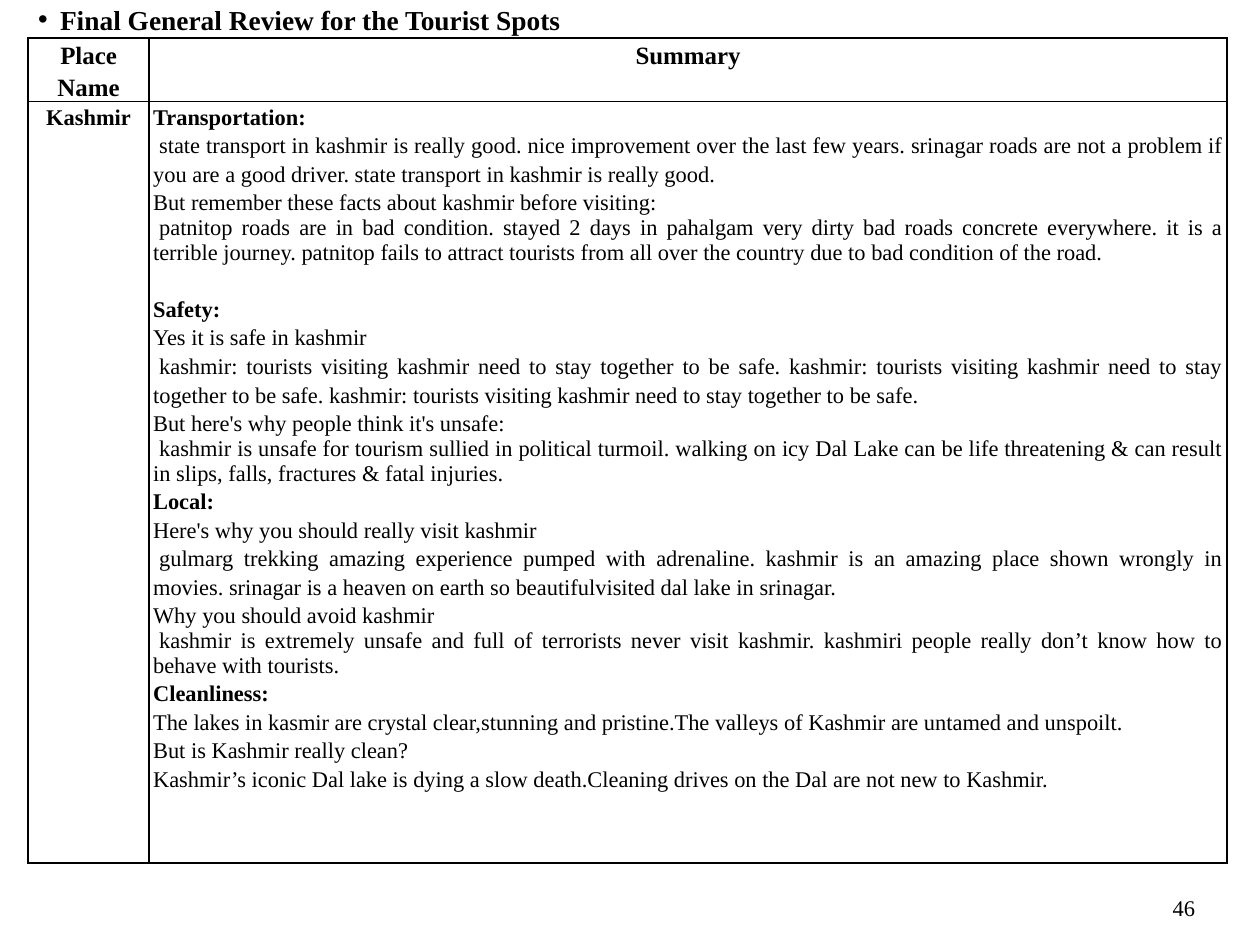
"""Build the slide with the final review table for Kashmir."""
from dataclasses import dataclass

from lxml import etree
from pptx import Presentation
from pptx.dml.color import RGBColor
from pptx.enum.text import MSO_ANCHOR, MSO_AUTO_SIZE, PP_ALIGN
from pptx.oxml.ns import qn
from pptx.table import _Cell
from pptx.text.text import TextFrame, _Paragraph
from pptx.util import Length, Pt

LEFT, CENTER, RIGHT, JUSTIFY = PP_ALIGN.LEFT, PP_ALIGN.CENTER, PP_ALIGN.RIGHT, PP_ALIGN.JUSTIFY
MIDDLE, NO_AUTOFIT = MSO_ANCHOR.MIDDLE, MSO_AUTO_SIZE.NONE

EMU_PER_PX = 20411
BLACK = RGBColor(0x00, 0x00, 0x00)
FONT_NAME = "Times New Roman"
WIDE_SPACING = 1.15
BORDER_WIDTH = Pt(3)
BORDER_TAGS = ("a:lnL", "a:lnR", "a:lnT", "a:lnB")
COLUMN_WIDTHS = (121, 1077)
ROW_HEIGHTS = (63, 761)
FRAME_INSETS = {"margin_left": 6, "margin_right": 6, "margin_top": 3, "margin_bottom": 3}
CELL_INSETS = {"margin_left": 4, "margin_right": 4, "margin_top": 0, "margin_bottom": 0}


@dataclass(frozen=True)
class Line:
    """One paragraph with its format."""

    text: str
    size: int = 36
    bold: bool = False
    alignment: PP_ALIGN = JUSTIFY
    spacing: float = WIDE_SPACING
    first_indent: int = 0
    space_before: int = 0


def heading(text: str, space_before: int = 0) -> Line:
    """Describe the bold heading of a topic."""
    return Line(text, bold=True, alignment=LEFT, space_before=space_before)


def review(text: str, spacing: float = WIDE_SPACING) -> Line:
    """Describe a review with an indented first line."""
    return Line(text, spacing=spacing, first_indent=6)


def label(text: str, size: int) -> Line:
    """Describe a bold centred table label."""
    return Line(text, size, bold=True, alignment=CENTER)


SUMMARY = [
    heading("Transportation:"),
    review("state transport in kashmir is really good. nice improvement over the last few years. "
           "srinagar roads are not a problem if you are a good driver. "
           "state transport in kashmir is really good."),
    Line("But remember these facts about kashmir before visiting:"),
    review("patnitop roads are in bad condition. stayed 2 days in pahalgam very dirty bad roads "
           "concrete everywhere. it is a terrible journey. patnitop fails to attract tourists "
           "from all over the country due to bad condition of the road.", 1.0),
    heading("Safety:", space_before=46),
    Line("Yes it is safe in kashmir"),
    review("kashmir: tourists visiting kashmir need to stay together to be safe. "
           "kashmir: tourists visiting kashmir need to stay together to be safe. "
           "kashmir: tourists visiting kashmir need to stay together to be safe."),
    Line("But here's why people think it's unsafe:"),
    review("kashmir is unsafe for tourism sullied in political turmoil. walking on icy Dal Lake "
           "can be life threatening & can result in slips, falls, fractures & fatal injuries.", 1.0),
    heading("Local:"),
    Line("Here's why you should really visit kashmir"),
    review("gulmarg trekking amazing experience pumped with adrenaline. kashmir is an amazing "
           "place shown wrongly in movies. srinagar is a heaven on earth so beautifulvisited "
           "dal lake in srinagar."),
    Line("Why you should avoid kashmir"),
    review("kashmir is extremely unsafe and full of terrorists never visit kashmir. "
           "kashmiri people really don’t know how to behave with tourists.", 1.0),
    heading("Cleanliness:"),
    Line("The lakes in kasmir are crystal clear,stunning and pristine."
         "The valleys of Kashmir are untamed and unspoilt."),
    Line("But is Kashmir really clean?"),
    Line("Kashmir’s iconic Dal lake is dying a slow death."
         "Cleaning drives on the Dal are not new to Kashmir."),
]
TABLE_ROWS = (
    ([label("Place Name", 40)], [label("Summary", 40)]),
    ([label("Kashmir", 36)], SUMMARY),
)


def px(value: int) -> Length:
    """Turn px into EMU."""
    return Length(value * EMU_PER_PX)


def set_values(target: object, values: dict[str, object]) -> None:
    """Set attributes from a dict of format values."""
    for name, value in values.items():
        setattr(target, name, value)


def set_insets(target: TextFrame | _Cell, insets: dict[str, int]) -> None:
    """Set the inner margins, given in px."""
    set_values(target, {name: px(value) for name, value in insets.items()})


def set_indent(paragraph: _Paragraph, margin: int, indent: int) -> None:
    """Set the left margin and the first-line indent, given in px."""
    properties = paragraph._p.get_or_add_pPr()
    properties.set("marL", str(px(margin)))
    properties.set("indent", str(px(indent)))


def write_lines(text_frame: TextFrame, lines: list[Line]) -> None:
    """Write one formatted paragraph for each line."""
    for index, line in enumerate(lines):
        paragraph = text_frame.add_paragraph() if index else text_frame.paragraphs[0]
        set_values(paragraph, {"alignment": line.alignment, "line_spacing": line.spacing})
        if line.space_before:
            paragraph.space_before = Pt(line.space_before)
        if line.first_indent:
            set_indent(paragraph, 0, line.first_indent)
        run = paragraph.add_run()
        run.text = line.text
        set_values(run.font, {"name": FONT_NAME, "size": Pt(line.size), "bold": line.bold})
        run.font.color.rgb = BLACK


def add_borders(cell: _Cell) -> None:
    """Draw a black line on each side of the cell."""
    properties = cell._tc.get_or_add_tcPr()
    for position, tag in enumerate(BORDER_TAGS):
        border = etree.Element(qn(tag), w=str(BORDER_WIDTH))
        fill = etree.SubElement(border, qn("a:solidFill"))
        etree.SubElement(fill, qn("a:srgbClr"), val=str(BLACK))
        properties.insert(position, border)


def main() -> None:
    """Build and save the slide."""
    presentation = Presentation()
    set_values(presentation, {"slide_width": px(1259), "slide_height": px(932)})
    slide = presentation.slides.add_slide(presentation.slide_layouts[1])
    title, body = slide.placeholders
    title.element.getparent().remove(title.element)

    frame = slide.shapes.add_table(2, 2, px(28), px(38), px(sum(COLUMN_WIDTHS)), px(sum(ROW_HEIGHTS)))
    table = frame.table
    set_values(table, {"first_row": False, "horz_banding": False})
    for column, width in zip(table.columns, COLUMN_WIDTHS):
        column.width = px(width)
    for row, height, contents in zip(table.rows, ROW_HEIGHTS, TABLE_ROWS):
        row.height = px(height)
        for cell, lines in zip(row.cells, contents):
            set_insets(cell, CELL_INSETS)
            cell.fill.background()
            add_borders(cell)
            write_lines(cell.text_frame, lines)

    set_values(body, {"left": px(32), "top": px(0), "width": px(1133), "height": px(615)})
    set_insets(body.text_frame, FRAME_INSETS)
    body.text_frame.auto_size = NO_AUTOFIT
    write_lines(body.text_frame, [Line("Final General Review for the Tourist Spots", 44, True, LEFT, 1.0)])
    set_indent(body.text_frame.paragraphs[0], 22, -22)

    page_number = slide.shapes.add_textbox(px(906), px(882), px(294), px(50)).text_frame
    set_values(page_number, {"word_wrap": True, "vertical_anchor": MIDDLE})
    set_insets(page_number, FRAME_INSETS)
    write_lines(page_number, [Line("46", alignment=RIGHT, spacing=1.0)])

    presentation.save("out.pptx")


if __name__ == "__main__":
    main()
